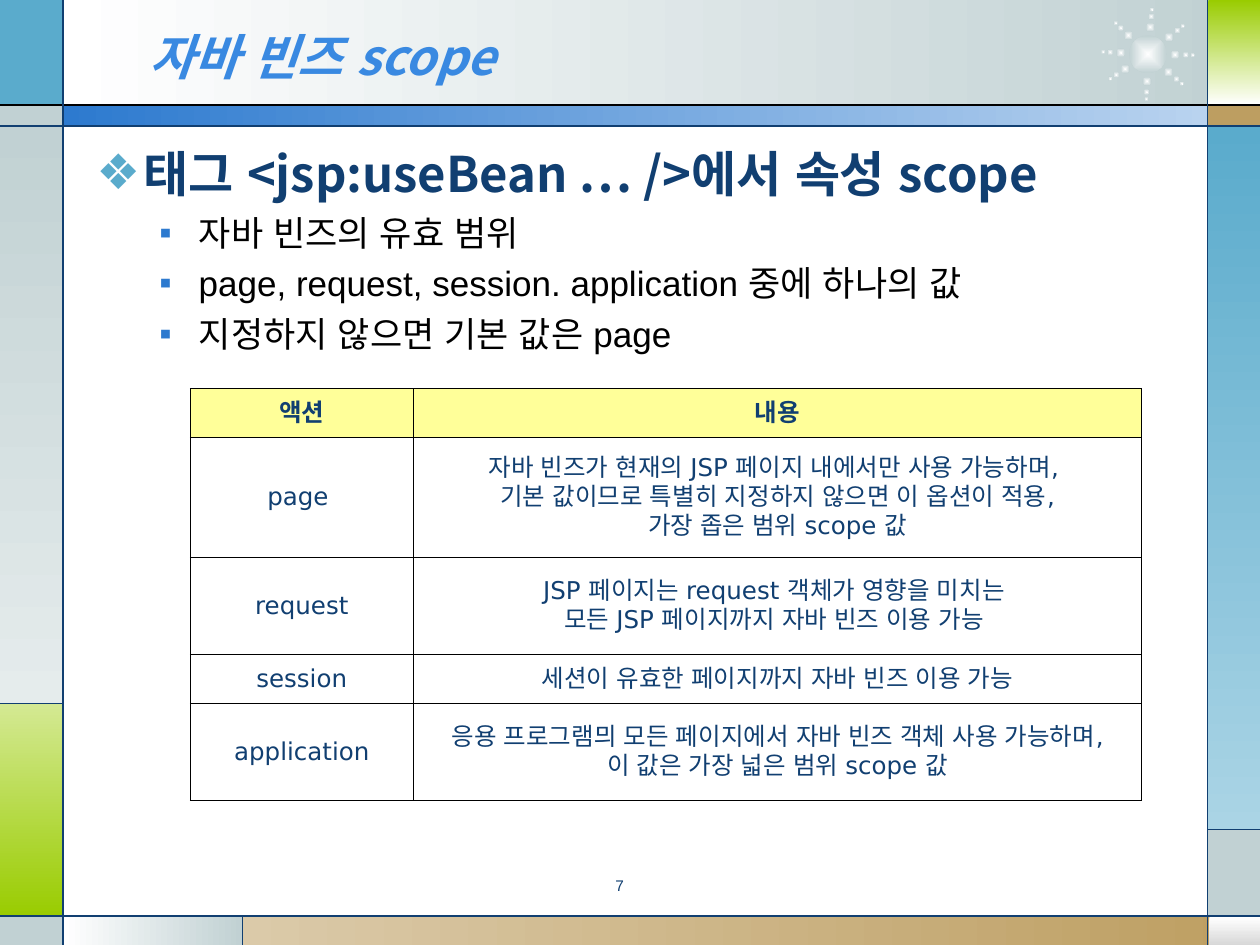
import math

import pptx
import pptx.dml.color
import pptx.enum.shapes
import pptx.enum.text
import pptx.oxml
import pptx.oxml.ns
import pptx.util

Pt = pptx.util.Pt
qn = pptx.oxml.ns.qn
ALIGN = pptx.enum.text.PP_ALIGN
MIDDLE = pptx.enum.text.MSO_ANCHOR.MIDDLE
SHAPE = pptx.enum.shapes.MSO_SHAPE
NS = 'xmlns:a="http://schemas.openxmlformats.org/drawingml/2006/main"'
KOREAN, LATIN, TABLE_FONT = "Noto Sans CJK KR", "Arial", "DejaVu Sans"
NAVY, SKY, MIST, BLUE = "113F71", "5AABCC", "C1D1D3", "2D7ACF"
LIME, SAND, WHITE = "99CC00", "BD9E61", "FFFFFF"
RAY_ANGLES = (1, 41, 92, 147, 183, 224, 275, 321)
ROW_HEIGHTS = {1: 27.8, 2: 55.6, 3: 68.6}

PANELS = [
    (36, 0, 667, 60, (WHITE, MIST), 0),
    (0, 0, 36, 60, (SKY,), 0),
    (0, 60, 36, 12, (MIST,), 0),
    (0, 72, 36, 330, (MIST, "E5ECEC"), 90),
    (0, 402, 36, 122, ("D4E993", LIME), 90),
    (0, 524, 36, 16, (MIST,), 0),
    (36, 523.5, 102.5, 16.5, (WHITE, MIST), 0),
    (138.5, 523.5, 581.5, 16.5, ("DBCAA9", SAND), 0),
    (691, 524, 29, 16, (WHITE, "D8D8D8"), 90),
    (690, 474, 30, 50, (MIST,), 0),
    (690, 72, 30, 402, (SKY, "AAD4E5"), 90),
    (690, 60, 30, 12, (SAND,), 0),
    (690.5, 0, 29.5, 60, (LIME, WHITE), 90),
    (36, 60, 654.5, 12, (BLUE, "B9D3EF"), 0),
]
RULES = [
    (0, 60, 720, 60, "000000"),
    (0, 72, 720, 72, NAVY),
    (0, 523.5, 720, 523.5, NAVY),
    (36, 0, 36, 540, NAVY),
    (690, 0, 690, 540, NAVY),
    (36, 402, 0, 402, NAVY),
    (138.5, 523.5, 138.5, 540, NAVY),
    (690, 474, 720, 474, NAVY),
]
SCOPES = [
    ("액션", ["내용"]),
    ("page ", ["자바 빈즈가 현재의 JSP 페이지 내에서만 사용 가능하며, ",
               "기본 값이므로 특별히 지정하지 않으면 이 옵션이 적용,",
               "가장 좁은 범위 scope 값"]),
    ("request", ["JSP 페이지는 request 객체가 영향을 미치는 ",
                 "모든 JSP 페이지까지 자바 빈즈 이용 가능 "]),
    ("session", ["세션이 유효한 페이지까지 자바 빈즈 이용 가능"]),
    ("application", ["응용 프로그램믜 모든 페이지에서 자바 빈즈 객체 사용 가능하며,",
                     "이 값은 가장 넓은 범위 scope 값"]),
]
POINTS = [
    "자바 빈즈의 유효 범위",
    "page, request, session. application 중에 하나의 값",
    "지정하지 않으면 기본 값은 page",
]


def rgb(value):
    """Return the colour for a hex string."""
    return pptx.dml.color.RGBColor.from_string(value)


def xml(tag, attributes="", inner=""):
    """Return a DrawingML element."""
    return pptx.oxml.parse_xml(f"<a:{tag} {NS} {attributes}>{inner}</a:{tag}>")


def write(paragraph, text, size=14, font=TABLE_FONT, color=NAVY, bold=False,
          italic=False, align=ALIGN.LEFT, spacing=1.0, before=0):
    """Add formatted text to a paragraph."""
    paragraph.alignment = align
    paragraph.line_spacing = spacing
    paragraph.space_before = Pt(before)
    run = paragraph.add_run()
    run.text = text
    run.font.size, run.font.name = Pt(size), font
    run.font.bold, run.font.italic = bold, italic
    run.font.color.rgb = rgb(color)
    run.font._element.find(qn("a:latin")).addnext(xml("ea", f'typeface="{LATIN}"'))


def add_bullet(paragraph, symbol, font, color, margin, hanging):
    """Give a paragraph a coloured bullet and a hanging indent."""
    properties = paragraph._p.get_or_add_pPr()
    properties.set("marL", str(Pt(margin)))
    properties.set("indent", str(-Pt(hanging)))
    properties.append(xml("buClr", "", f'<a:srgbClr val="{color}"/>'))
    properties.append(xml("buFont", f'typeface="{font}"'))
    properties.append(xml("buChar", f'char="{symbol}"'))


def add_filled(shapes, kind, left, top, width, height, colors, angle=0):
    """Add a borderless shape with a plain or two-colour fill."""
    shape = shapes.add_shape(kind, Pt(left), Pt(top), Pt(width), Pt(height))
    shape.shadow.inherit = False
    shape.line.fill.background()
    if len(colors) == 1:
        shape.fill.solid()
        shape.fill.fore_color.rgb = rgb(colors[0])
        return shape
    shape.fill.gradient()
    shape.fill.gradient_angle = -angle % 360
    for position, (stop, color) in enumerate(zip(shape.fill.gradient_stops, colors)):
        stop.position = position
        stop.color.rgb = rgb(color)
    return shape


def add_rule(slide, x1, y1, x2, y2, color):
    """Add a thin straight line."""
    rule = slide.shapes.add_connector(
        pptx.enum.shapes.MSO_CONNECTOR.STRAIGHT, Pt(x1), Pt(y1), Pt(x2), Pt(y2))
    rule.line.width = Pt(0.75)
    rule.line.color.rgb = rgb(color)
    rule._element.spPr.append(xml("effectLst"))


def add_glow(shapes, x, y, size):
    """Add a dot that fades outwards from its centre."""
    dot = add_filled(shapes, SHAPE.OVAL, x - size / 2, y - size / 2, size, size,
                     (WHITE, MIST))
    gradient = dot._element.spPr.find(qn("a:gradFill"))
    center = '<a:fillToRect l="50000" t="50000" r="50000" b="50000"/>'
    gradient.replace(gradient.find(qn("a:lin")), xml("path", 'path="rect"', center))


def add_sunburst(slide, x, y):
    """Add a glowing centre with eight rays of shrinking dots."""
    burst = slide.shapes.add_group_shape().shapes
    add_glow(burst, x, y, 21.6)
    for angle in map(math.radians, RAY_ANGLES):
        for radius, size in ((21.6, 3.6), (25.6, 2.6), (15.5, 5.2)):
            add_glow(burst, x + radius * math.cos(angle),
                     y + radius * math.sin(angle), size)


def add_title(slide, text):
    """Place and fill the title placeholder above the decoration."""
    title = slide.shapes.title
    title.left, title.top, title.width, title.height = Pt(78), Pt(9.5), Pt(528), Pt(44.5)
    title.text_frame.auto_size = pptx.enum.text.MSO_AUTO_SIZE.NONE
    title.text_frame.vertical_anchor = MIDDLE
    write(title.text_frame.paragraphs[0], text, size=28, font=KOREAN,
          color="3989E1", bold=True, italic=True)
    slide.shapes._spTree.append(title._element)


def add_text_frame(slide, left, top, width, height):
    """Add a wrapping text box and return its frame."""
    frame = slide.shapes.add_textbox(Pt(left), Pt(top), Pt(width), Pt(height)).text_frame
    frame.word_wrap = True
    return frame


def add_outline(slide):
    """Add the heading and its bullet points."""
    frame = add_text_frame(slide, 48, 78.5, 631.5, 405)
    heading = frame.paragraphs[0]
    add_bullet(heading, "❖", TABLE_FONT, SKY, 27, 27)
    write(heading, "태그 <jsp:useBean … />에서 속성 scope", size=28, font=KOREAN,
          bold=True)
    for point in POINTS:
        paragraph = frame.add_paragraph()
        paragraph.level = 1
        add_bullet(paragraph, "▪", LATIN, BLUE, 58.5, 22.5)
        write(paragraph, point, size=20, font=LATIN, color="000000", before=5)


def fill_cell(cell, lines, header):
    """Write centred lines in a bordered cell."""
    cell.vertical_anchor = MIDDLE
    cell.margin_left = cell.margin_right = Pt(5)
    cell.margin_top = cell.margin_bottom = Pt(3.6)
    for number, line in enumerate(lines):
        frame = cell.text_frame
        paragraph = frame.add_paragraph() if number else frame.paragraphs[0]
        write(paragraph, line, bold=header, align=ALIGN.CENTER)
    ink = '<a:solidFill><a:srgbClr val="000000"/></a:solidFill>'
    for side in ("lnL", "lnR", "lnT", "lnB"):
        cell._tc.get_or_add_tcPr().append(xml(side, f'w="{Pt(0.45)}"', ink))
    if header:
        cell.fill.solid()
        cell.fill.fore_color.rgb = rgb("FFFF99")
    else:
        cell.fill.background()


def add_scope_table(slide):
    """Add the table of scopes and their meaning."""
    table = slide.shapes.add_table(
        len(SCOPES), 2, Pt(108.75), Pt(222), Pt(543.75), Pt(235.4)).table
    for column, width in zip(table.columns, (127.5, 416.25)):
        column.width = Pt(width)
    for number, (scope, meaning) in enumerate(SCOPES):
        table.rows[number].height = Pt(ROW_HEIGHTS[len(meaning)])
        fill_cell(table.cell(number, 0), [scope], number == 0)
        fill_cell(table.cell(number, 1), meaning, number == 0)


def main():
    """Build and save the slide."""
    deck = pptx.Presentation()
    deck.slide_width, deck.slide_height = Pt(720), Pt(540)
    slide = deck.slides.add_slide(deck.slide_layouts[5])
    for panel in PANELS:
        add_filled(slide.shapes, SHAPE.RECTANGLE, *panel)
    add_sunburst(slide, 656, 31)
    for rule in RULES:
        add_rule(slide, *rule)
    add_title(slide, "자바 빈즈 scope")
    add_outline(slide)
    page_number = add_text_frame(slide, 270, 499, 168, 19.5)
    write(page_number.paragraphs[0], "7", size=8.8, font=LATIN,
          align=ALIGN.CENTER, spacing=0.8)
    add_scope_table(slide)
    deck.save("out.pptx")


if __name__ == "__main__":
    main()
